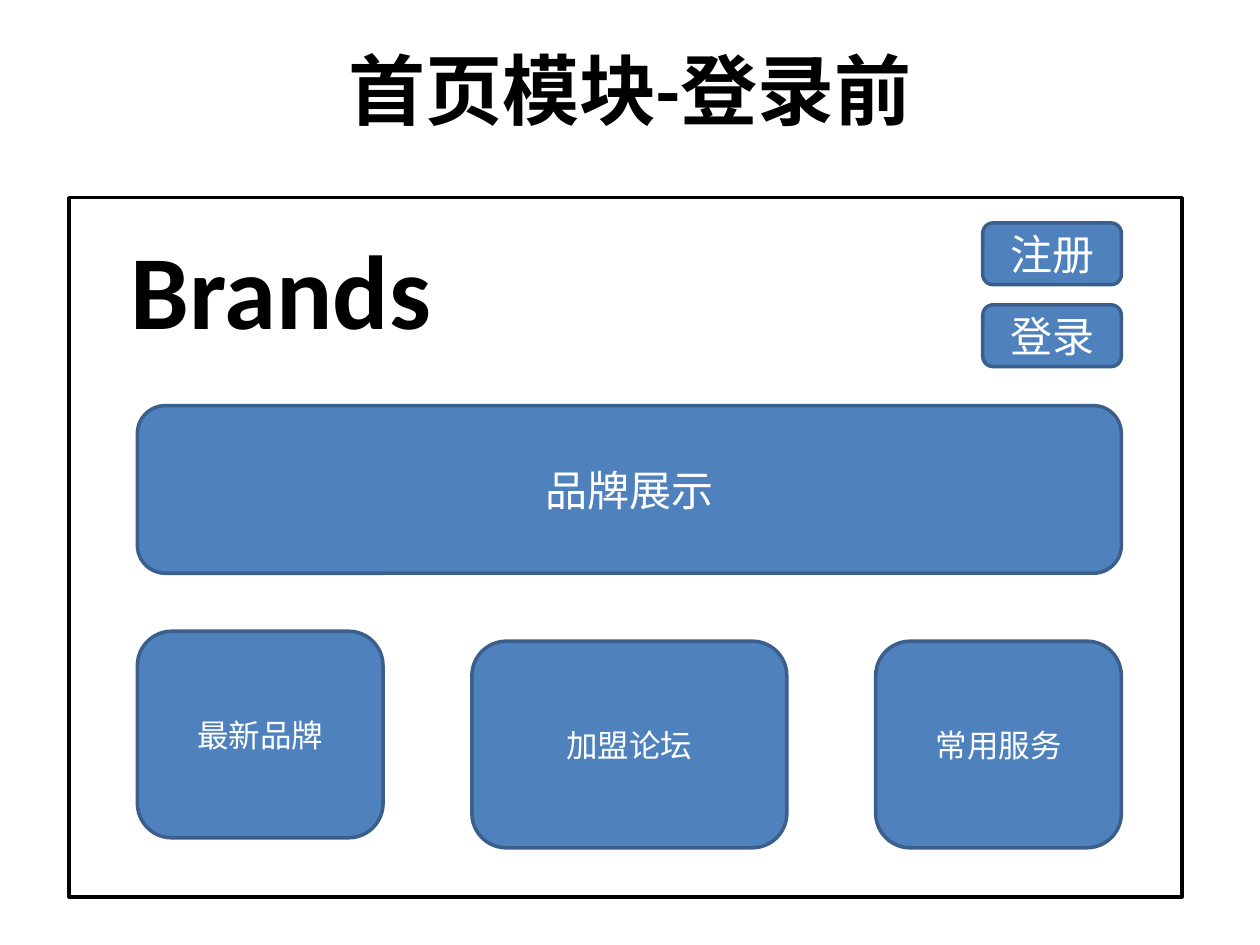
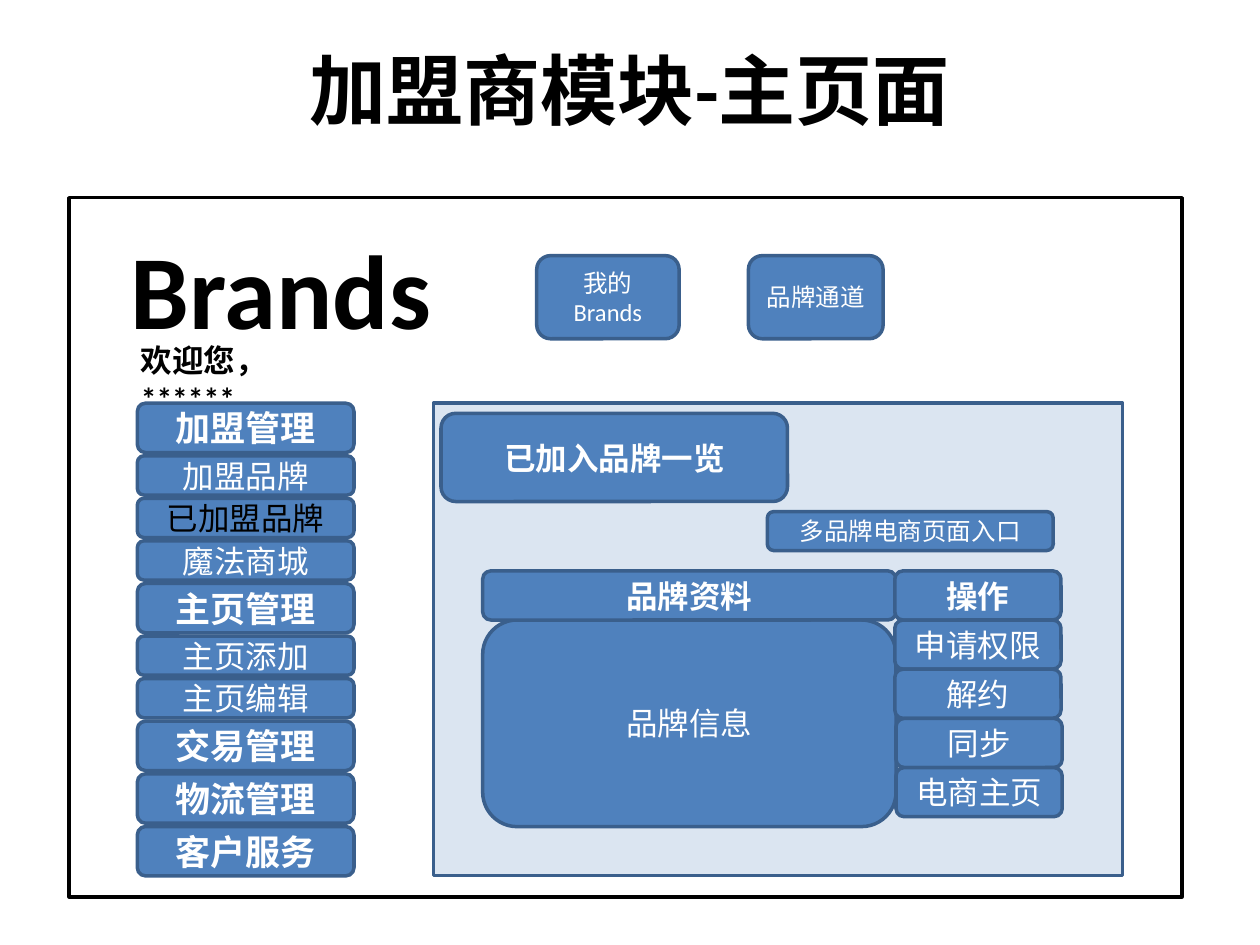
import dataclasses

import lxml.etree
import pptx
import pptx.dml.color
import pptx.enum.shapes
import pptx.enum.text
import pptx.oxml.ns
import pptx.util

Pt = pptx.util.Pt
Kind = pptx.enum.shapes.MSO_SHAPE
Align = pptx.enum.text.PP_ALIGN
Anchor = pptx.enum.text.MSO_ANCHOR


@dataclasses.dataclass(frozen=True)
class Theme:
    font: str = "Calibri"
    blue: str = "4F81BD"
    edge: str = "3A5F8C"
    white: str = "FFFFFF"
    black: str = "000000"
    line: float = 2
    title: float = 44
    logo: float = 60
    large: float = 24
    head: float = 20
    body: float = 18
    small: float = 14


look = Theme()
FRAME = (39.6, 113, 635.8, 399.6)
INSET = 38.9


def color(code):
    return pptx.dml.color.RGBColor.from_string(code)


def within(box, left, top, width, height):
    return box[0] + left, box[1] + top, width, height


def write(shape, text, size=look.body, ink=look.white, bold=False,
          align=Align.CENTER, anchor=Anchor.MIDDLE):
    frame = shape.text_frame
    frame.word_wrap = True
    frame.vertical_anchor = anchor
    frame.text = text
    par = frame.paragraphs[0]
    par.alignment = align
    font = par.runs[0].font
    font.name, font.size, font.bold = look.font, Pt(size), bold
    font.color.rgb = color(ink)


def draw(slide, box, kind, fill=None, edge=look.edge, alpha=None):
    shape = slide.shapes.add_shape(kind, *map(Pt, box))
    shape.shadow.inherit = False
    shape.line.color.rgb = color(edge)
    shape.line.width = Pt(look.line)
    if fill is None:
        shape.fill.background()
    else:
        shape.fill.solid()
        shape.fill.fore_color.rgb = color(fill)
    if alpha is not None:
        qn = pptx.oxml.ns.qn
        tint = shape.element.spPr.find(qn("a:solidFill"))[0]
        lxml.etree.SubElement(tint, qn("a:alpha")).set("val", str(alpha * 1000))
    return shape


def button(slide, box, text, **style):
    write(draw(slide, box, Kind.ROUNDED_RECTANGLE, look.blue), text, **style)


def label(slide, box, text, **style):
    shape = slide.shapes.add_textbox(*map(Pt, box))
    write(shape, text, ink=look.black, bold=True, align=Align.LEFT,
          anchor=Anchor.TOP, **style)


def page(deck, title):
    slide = deck.slides.add_slide(deck.slide_layouts[5])
    head = slide.shapes.title
    head.left, head.top, head.width, head.height = map(Pt, (36, 5.8, 648, 90))
    write(head, title, size=look.title, ink=look.black, bold=True)
    draw(slide, FRAME, Kind.RECTANGLE, edge=look.black)
    label(slide, within(FRAME, 28.1, 11.5, 208.1, 79.9), "Brands", size=look.logo)
    return slide


def access(slide, box):
    for row, text in enumerate(("注册", "登录")):
        button(slide, within(box, 0, row * 46.8, box[2], 35.3), text, size=look.large)


def cards(slide, box):
    items = (("最新品牌", 140.4, 0), ("加盟论坛", 180, 5.7), ("常用服务", 140.4, 5.7))
    gap = (box[2] - sum(width for _, width, _ in items)) / (len(items) - 1)
    left = 0
    for text, width, drop in items:
        button(slide, within(box, left, drop, width, box[3]), text)
        left += width + gap


def tabs(slide, box):
    for text, left, width in (("我的Brands", 0, 81.4), ("品牌通道", 121, 77)):
        button(slide, within(box, left, 0, width, box[3]), text, size=look.small)


def menu(slide, box):
    groups = (
        ("加盟管理", ("加盟品牌", "已加盟品牌", "魔法商城")),
        ("主页管理", ("主页添加", "主页编辑")),
        ("交易管理", ()),
        ("物流管理", ()),
        ("客户服务", ()),
    )
    chosen = "已加盟品牌"
    gap, top = 1.9, 0
    for head, items in groups:
        button(slide, within(box, 0, top, box[2], 28.2), head, size=look.head, bold=True)
        top += 28.2 + gap
        for item in items:
            ink = look.black if item == chosen else look.white
            button(slide, within(box, 0, top, box[2], 22.4), item, ink=ink)
            top += 22.4 + gap


def grid(slide, box):
    row, wide, side = 28.1, 236.2, 95
    button(slide, within(box, 0, row, wide, 118.1), "品牌信息")
    button(slide, within(box, 0, 0, wide, row), "品牌资料", bold=True)
    for step, text in enumerate(("操作", "申请权限", "解约", "同步", "电商主页")):
        shift = 0.7 if step > 2 else 0
        button(slide, within(box, wide - 0.7 + shift, step * row, side, row),
               text, bold=step == 0)


def panel(slide, box):
    draw(slide, box, Kind.RECTANGLE, look.blue, alpha=20)
    button(slide, within(box, 4.3, 5.8, 198, 50.4), "已加入品牌一览", bold=True)
    button(slide, within(box, 190.8, 61.9, 163.4, 22.3), "多品牌电商页面入口",
           size=look.small)
    grid(slide, within(box, 28.1, 95.8, 331, 146))


def home(deck):
    slide = page(deck, "首页模块-登录前")
    access(slide, within(FRAME, 522, 14.4, 79.2, 82))
    button(slide, within(FRAME, INSET, 118.8, 562.3, 95.8), "品牌展示", size=look.large)
    cards(slide, within(FRAME, INSET, 247.7, 562.3, 118.1))


def partner(deck):
    slide = page(deck, "加盟商模块-主页面")
    tabs(slide, within(FRAME, 267.1, 33.1, 198, 47.5))
    label(slide, within(FRAME, 33.8, 78.5, 134, 29), "欢迎您，******", size=look.body)
    menu(slide, within(FRAME, INSET, 117.4, 123.8, 270))
    panel(slide, within(FRAME, 208.1, 117.4, 393.8, 270))


def main():
    deck = pptx.Presentation()
    deck.slide_width, deck.slide_height = Pt(720), Pt(540)
    home(deck)
    partner(deck)
    deck.save("out.pptx")


if __name__ == "__main__":
    main()
